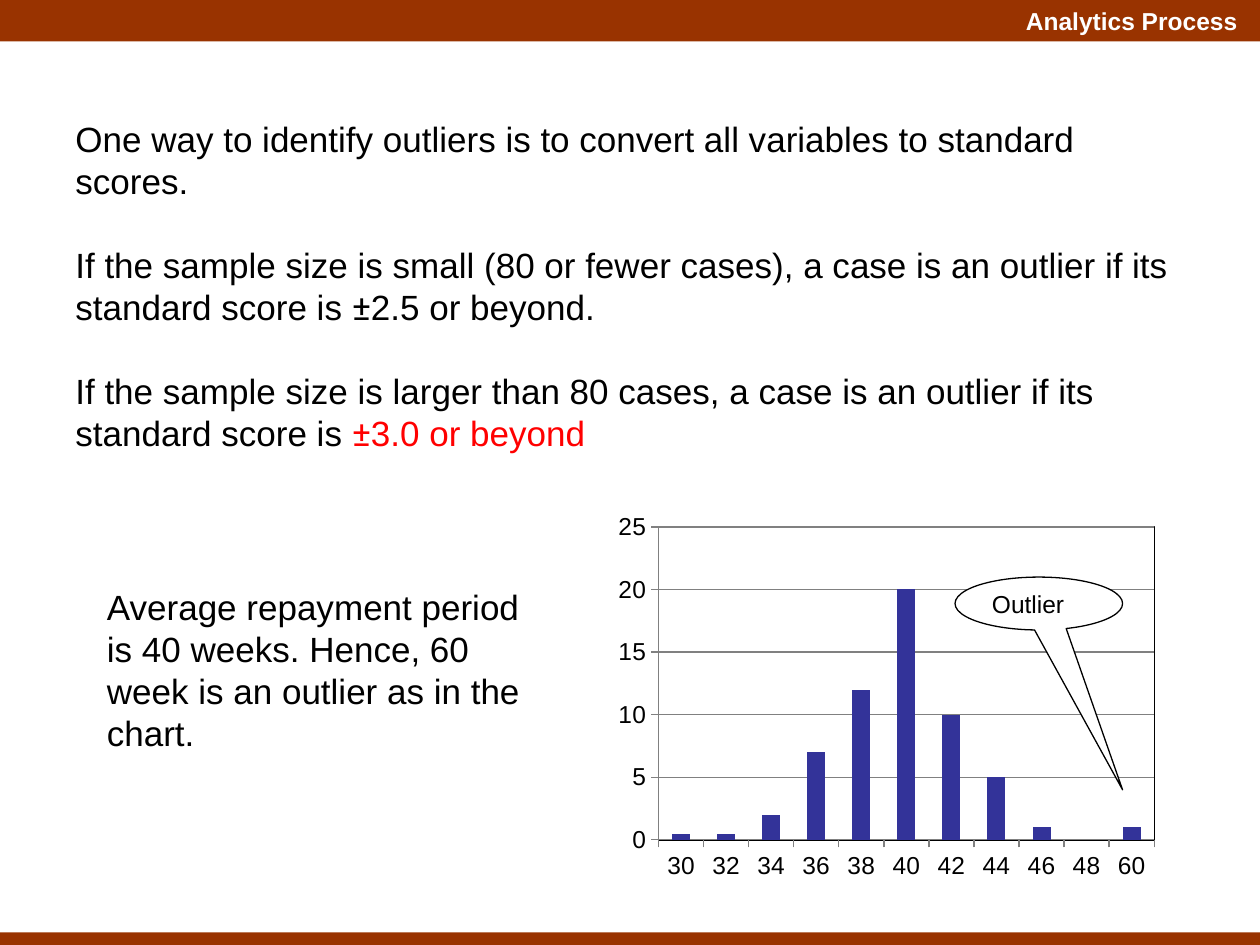
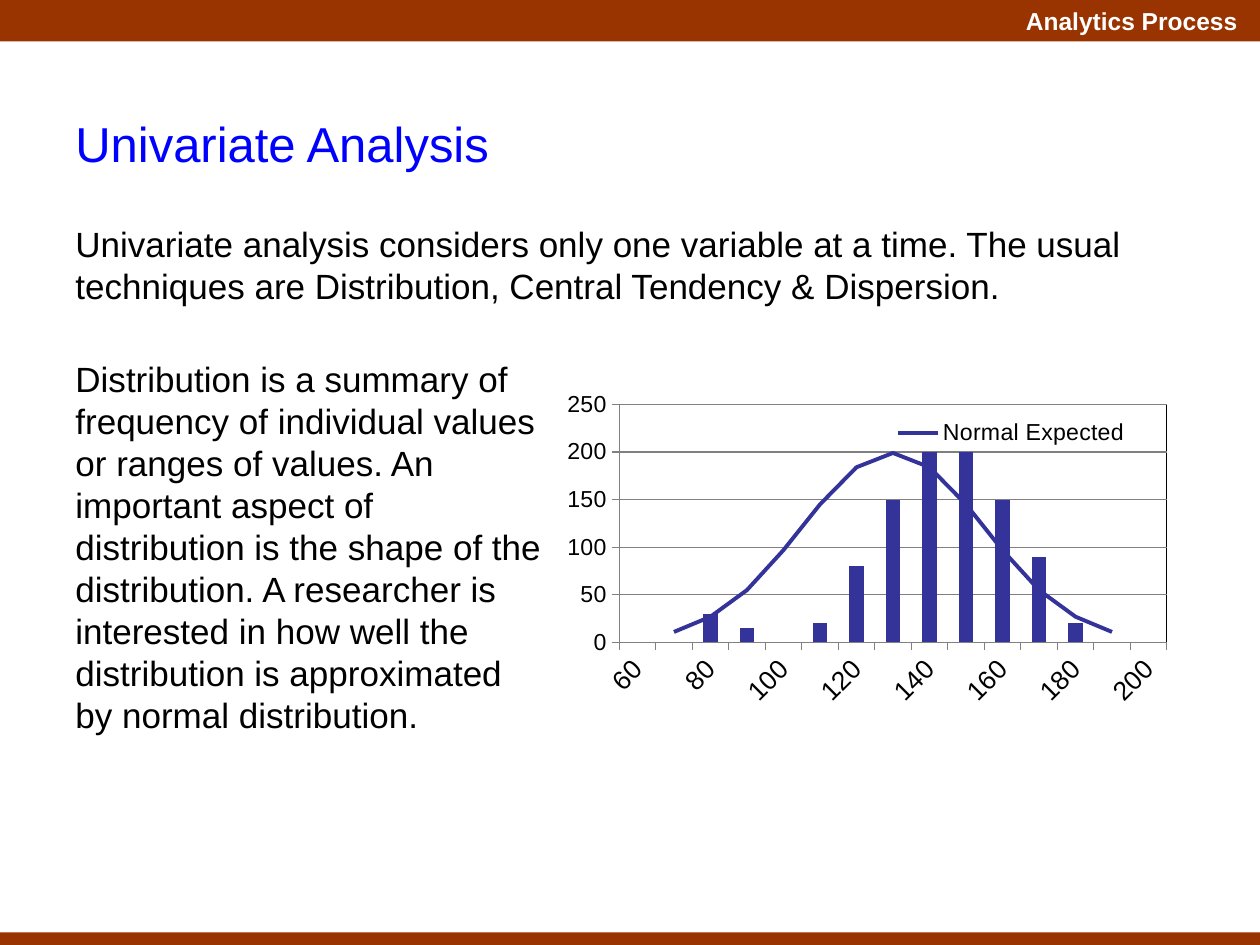
"""Build two slides on outliers and univariate analysis."""
from dataclasses import dataclass

from pptx import Presentation
from pptx.chart.data import CategoryChartData
from pptx.dml.color import RGBColor
from pptx.enum.chart import XL_CHART_TYPE, XL_LEGEND_POSITION, XL_MARKER_STYLE, XL_TICK_MARK
from pptx.enum.shapes import MSO_SHAPE
from pptx.enum.text import MSO_ANCHOR, PP_ALIGN
from pptx.oxml import parse_xml
from pptx.oxml.ns import nsdecls, qn
from pptx.util import Inches, Pt

COLUMNS = XL_CHART_TYPE.COLUMN_CLUSTERED
LEGEND_BOTTOM = XL_LEGEND_POSITION.BOTTOM
NO_MARKER = XL_MARKER_STYLE.NONE
TICK_OUTSIDE = XL_TICK_MARK.OUTSIDE
NO_TICK = XL_TICK_MARK.NONE
RECTANGLE = MSO_SHAPE.RECTANGLE
CALLOUT = MSO_SHAPE.OVAL_CALLOUT
MIDDLE = MSO_ANCHOR.MIDDLE
LEFT = PP_ALIGN.LEFT
RIGHT = PP_ALIGN.RIGHT


@dataclass(frozen=True)
class Theme:
    """Colours, fonts and type sizes shared by the slides."""

    band: str = "993300"
    text: str = "000000"
    white: str = "FFFFFF"
    title: str = "0000FF"
    highlight: str = "FF0000"
    series: str = "333399"
    grid: str = "808080"
    font: str = "Arial"
    symbol_font: str = "Roboto"
    title_size: float = 28
    body_size: float = 20
    label_size: float = 14
    line_pitch: float = 1.2


THEME = Theme()


def rgb(color):
    """Turn a hex colour into an RGBColor."""
    return RGBColor.from_string(color)


def style_font(font, size, color=THEME.text, bold=False, name=THEME.font):
    """Set the face, size, weight and colour of a font."""
    font.name = name
    font.size = Pt(size)
    font.bold = bold
    font.color.rgb = rgb(color)


def write_text(paragraph, text, size=THEME.body_size, color=THEME.text, bold=False,
               align=LEFT, before=0):
    """Add formatted text to a paragraph, with the plus-minus sign in its own font."""
    paragraph.alignment = align
    paragraph.line_spacing = Pt(size * THEME.line_pitch)
    if before:
        paragraph.space_before = Pt(before)
    head, sign, tail = text.partition("±")
    for part, name in ((head, THEME.font), (sign, THEME.symbol_font), (tail, THEME.font)):
        if part:
            run = paragraph.add_run()
            run.text = part
            style_font(run.font, size, color, bold, name)


def add_text_box(slide, box, paragraphs):
    """Add a wrapping text box; each paragraph is a list of (text, format) pieces."""
    frame = slide.shapes.add_textbox(*map(Inches, box)).text_frame
    frame.word_wrap = True
    for index, pieces in enumerate(paragraphs):
        paragraph = frame.add_paragraph() if index else frame.paragraphs[0]
        for text, formats in pieces:
            write_text(paragraph, text, **formats)


def add_band(slide, top, height):
    """Add a full-width coloured band."""
    band = slide.shapes.add_shape(RECTANGLE, 0, Inches(top), Inches(10), Inches(height))
    band.shadow.inherit = False
    band.fill.solid()
    band.fill.fore_color.rgb = rgb(THEME.band)
    band.line.fill.background()


def add_base_slide(presentation):
    """Add a blank slide with its header and footer bands."""
    slide = presentation.slides.add_slide(presentation.slide_layouts[6])
    add_band(slide, 0, 0.33)
    header = {"size": THEME.label_size, "color": THEME.white, "bold": True, "align": RIGHT}
    add_text_box(slide, (5.74, 0, 4.18, 0.33), [[("Analytics Process", header)]])
    add_band(slide, 7.4, 0.1)
    return slide


def manual_layout(area, target=""):
    """Return a layout element that places a chart part by fractions."""
    inner = f'<c:layoutTarget val="{target}"/>' if target else ""
    modes = '<c:xMode val="edge"/><c:yMode val="edge"/>'
    sizes = "".join(f'<c:{key} val="{value}"/>' for key, value in zip("xywh", area))
    return parse_xml(f'<c:layout {nsdecls("c")}><c:manualLayout>{inner}{modes}{sizes}'
                     "</c:manualLayout></c:layout>")


def remove_layout(element):
    """Drop the automatic layout of a chart part."""
    for layout in element.findall(qn("c:layout")):
        element.remove(layout)


def style_axis(axis, size):
    """Format the labels, line and ticks of an axis."""
    style_font(axis.tick_labels.font, size)
    axis.major_tick_mark = TICK_OUTSIDE
    axis.minor_tick_mark = NO_TICK
    axis.format.line.color.rgb = rgb(THEME.grid)
    axis.format.line.width = Pt(0.75)


def add_histogram(slide, box, categories, series, top, step, plot_area, sizes):
    """Add a column chart with grid lines and a framed plot area."""
    data = CategoryChartData()
    data.categories = categories
    for name, values in series:
        data.add_series(name, values)
    chart = slide.shapes.add_chart(COLUMNS, *map(Inches, box), data).chart
    chart.has_title = False
    chart.has_legend = False
    style_font(chart.font, THEME.label_size)
    plot = chart.plots[0]
    plot.gap_width = 150
    plot.vary_by_categories = False
    columns = plot.series[0].format.fill
    columns.solid()
    columns.fore_color.rgb = rgb(THEME.series)
    style_axis(chart.category_axis, sizes[0])
    axis = chart.value_axis
    style_axis(axis, sizes[1])
    axis.minimum_scale, axis.maximum_scale, axis.major_unit = 0, top, step
    axis.has_major_gridlines = True
    axis.major_gridlines.format.line.color.rgb = rgb(THEME.grid)
    axis.major_gridlines.format.line.width = Pt(0.75)
    area = chart._chartSpace.chart.plotArea
    remove_layout(area)
    area.insert(0, manual_layout(plot_area, "inner"))
    area.append(parse_xml(
        f'<c:spPr {nsdecls("c", "a")}><a:noFill/><a:ln w="9525"><a:solidFill>'
        f'<a:srgbClr val="{THEME.text}"/></a:solidFill></a:ln></c:spPr>'))
    return chart


def turn_last_series_into_line(chart):
    """Draw the last column series as a line on the same axes."""
    bars = chart.plots[0]._element
    series = bars.findall(qn("c:ser"))[-1]
    for flag in series.findall(qn("c:invertIfNegative")):
        series.remove(flag)
    axes = "".join(f'<c:axId val="{axis.get("val")}"/>' for axis in bars.findall(qn("c:axId")))
    lines = parse_xml(f'<c:lineChart {nsdecls("c")}><c:grouping val="standard"/>'
                      f'<c:varyColors val="0"/><c:marker val="1"/>{axes}</c:lineChart>')
    lines.insert(2, series)
    bars.addnext(lines)
    curve = chart.plots[1].series[0]
    curve.smooth = False
    curve.marker.style = NO_MARKER
    curve.format.line.color.rgb = rgb(THEME.series)
    curve.format.line.width = Pt(2.25)


def add_curve_legend(chart, area, size):
    """Place a legend that names only the curve."""
    chart.has_legend = True
    legend = chart.legend
    legend.position = LEGEND_BOTTOM
    legend.include_in_layout = False
    style_font(legend.font, size)
    element = legend._element
    remove_layout(element)
    position = element.find(qn("c:legendPos"))
    position.addnext(manual_layout(area))
    position.addnext(parse_xml(f'<c:legendEntry {nsdecls("c")}><c:idx val="0"/>'
                               '<c:delete val="1"/></c:legendEntry>'))


def slant_labels(axis, skip):
    """Slant the category labels and show only every few of them."""
    body = axis._element.find(qn("c:txPr")).find(qn("a:bodyPr"))
    body.set("rot", "-2700000")
    body.set("vert", "horz")
    axis._element.find(qn("c:noMultiLvlLbl")).addprevious(
        parse_xml(f'<c:tickLblSkip {nsdecls("c")} val="{skip}"/>'))


def add_callout(slide, box, text, pointer):
    """Add a white oval callout with a pointer."""
    callout = slide.shapes.add_shape(CALLOUT, *map(Inches, box))
    callout.shadow.inherit = False
    callout.adjustments[0], callout.adjustments[1] = pointer
    callout.fill.solid()
    callout.fill.fore_color.rgb = rgb(THEME.white)
    callout.line.color.rgb = rgb(THEME.text)
    callout.line.width = Pt(0.75)
    callout.text_frame.vertical_anchor = MIDDLE
    write_text(callout.text_frame.paragraphs[0], text, size=THEME.label_size)


def add_outlier_slide(presentation):
    """Add the slide on finding outliers with standard scores."""
    slide = add_base_slide(presentation)
    gap = {"before": THEME.body_size * THEME.line_pitch}
    add_text_box(slide, (0.5, 0.88, 9.08, 2.46), [
        [("One way to identify outliers is to convert all variables to standard scores.", {})],
        [("If the sample size is small (80 or fewer cases), a case is an outlier if its "
          "standard score is ±2.5 or beyond.", gap)],
        [("If the sample size is larger than 80 cases, a case is an outlier if its "
          "standard score is ", gap),
         ("±3.0 or beyond", {"color": THEME.highlight})],
    ])
    weeks = [str(week) for week in (*range(30, 50, 2), 60)]
    cases = (0.5, 0.5, 2, 7, 12, 20, 10, 5, 1, None, 1)
    add_histogram(slide, (4.83, 4, 4.42, 3.03), weeks, [("Series 1", cases)], 25, 5,
                  (0.09, 0.06, 0.89, 0.82), (14, 14))
    add_text_box(slide, (0.75, 4.6, 3.5, 1.45), [
        [("Average repayment period is 40 weeks. Hence, 60 week is an outlier as in the "
          "chart.", {})]])
    add_callout(slide, (7.58, 4.58, 1.33, 0.42), "Outlier", (0.5, 3.52))


def add_univariate_slide(presentation):
    """Add the slide on univariate analysis and the normal curve."""
    slide = add_base_slide(presentation)
    values = [str(value) for value in range(60, 210, 10)]
    observed = (None, None, 30, 15, None, 20, 80, 150, 200, 200, 150, 90, 20, None, None)
    half_curve = (None, 11, 27, 55, 97, 145, 184)
    expected = (*half_curve, 199, *reversed(half_curve))
    chart = add_histogram(slide, (4.42, 3.03, 4.94, 3), values,
                          [("Series 1", observed), ("Normal Expected", expected)], 250, 50,
                          (0.1, 0.06, 0.88, 0.63), (15.1, 13.2))
    turn_last_series_into_line(chart)
    add_curve_legend(chart, (0.53, 0.09, 0.4, 0.09), 13.2)
    slant_labels(chart.category_axis, 2)
    add_text_box(slide, (0.5, 2.79, 3.92, 3.13), [
        [("Distribution is a summary of frequency of individual values or ranges of values. "
          "An important aspect of distribution is the shape of the distribution. A researcher "
          "is interested in how well the distribution is approximated by normal "
          "distribution.", {})]])
    add_text_box(slide, (0.5, 0.85, 8.92, 1.65), [
        [("Univariate Analysis", {"size": THEME.title_size, "color": THEME.title})],
        [("Univariate analysis considers only one variable at a time. The usual techniques "
          "are Distribution, Central Tendency & Dispersion.", {"before": 28.8})]])


def main():
    """Build and save the presentation."""
    presentation = Presentation()
    presentation.slide_width = Inches(10)
    presentation.slide_height = Inches(7.5)
    add_outlier_slide(presentation)
    add_univariate_slide(presentation)
    presentation.save("out.pptx")


if __name__ == "__main__":
    main()
